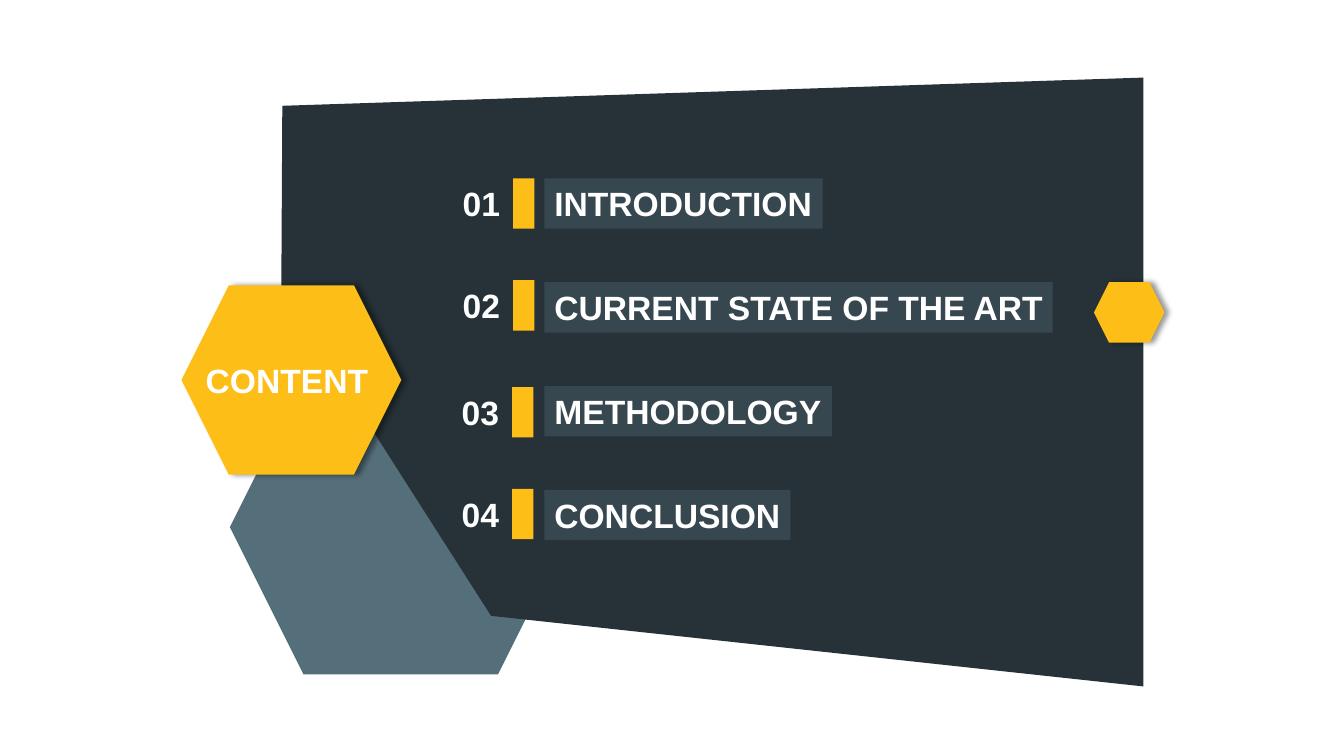
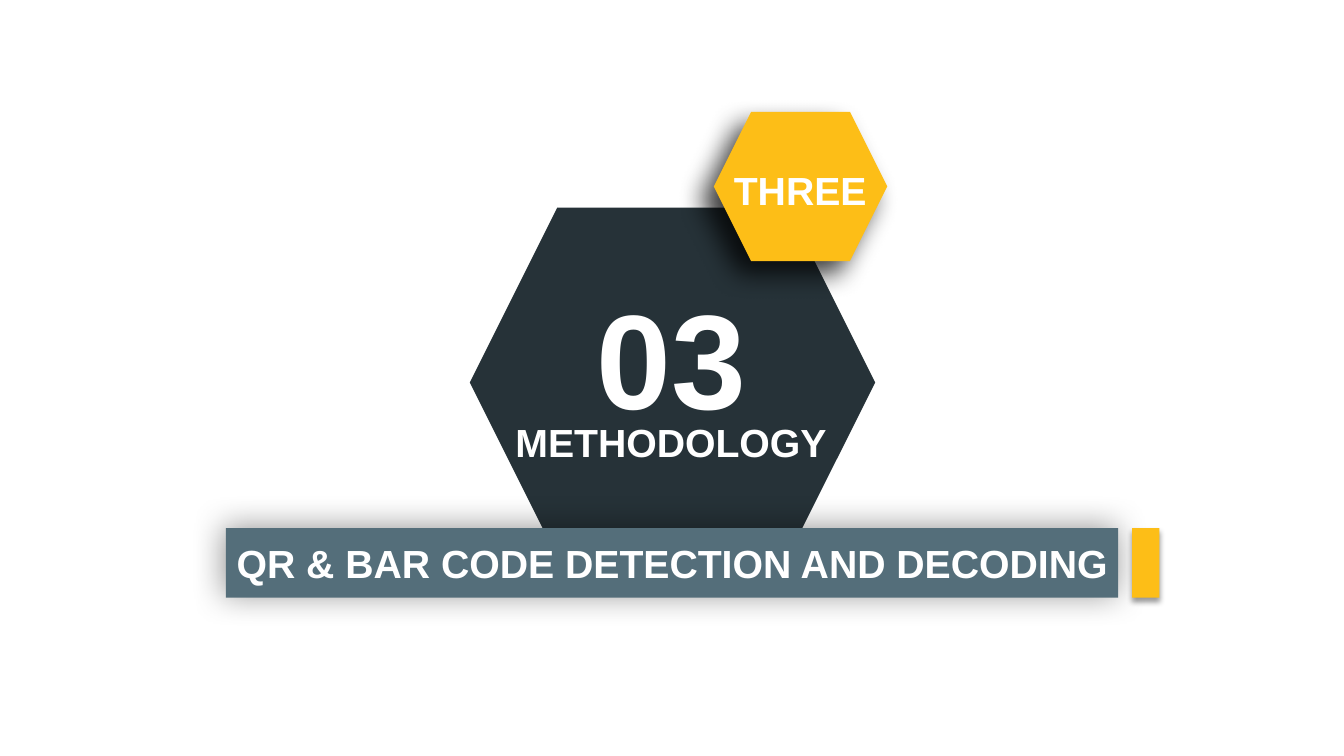
from lxml import etree
from pptx import Presentation
from pptx.dml.color import RGBColor
from pptx.enum.shapes import MSO_SHAPE
from pptx.enum.text import MSO_ANCHOR, MSO_AUTO_SIZE, PP_ALIGN
from pptx.oxml.ns import qn
from pptx.util import Pt

PX = 9144
RECT, HEX = MSO_SHAPE.RECTANGLE, MSO_SHAPE.HEXAGON
LEFT, CENTER = PP_ALIGN.LEFT, PP_ALIGN.CENTER
TOP, NO_FIT = MSO_ANCHOR.TOP, MSO_AUTO_SIZE.NONE
TITLE_ONLY = 5
FONT = "Arial"
COLORS = {
    "dark": "263238",
    "label": "37474F",
    "slate": "546E7A",
    "gold": "FDBE17",
    "white": "FFFFFF",
    "black": "000000",
}
ROW_TOP, ROW_STEP = 177, 103
ROWS = [
    ("01", "INTRODUCTION", 276, 449, 177),
    ("02", "CURRENT STATE OF THE ART", 504, 449, 278),
    ("03", "METHODOLOGY", 285, 448, 384),
    ("04", "CONCLUSION", 244, 448, 485),
]
PANEL = [(280, 105), (1134, 77), (1134, 681), (487, 611), (279, 285)]


def color(name):
    return RGBColor.from_string(COLORS[name])


def scale(box):
    return [n * PX for n in box]


def paint(shape, fill):
    shape.fill.solid()
    shape.fill.fore_color.rgb = color(fill)
    shape.line.fill.background()


def add_shadow(shape, alpha, blur, dist, angle):
    effects = shape._element.spPr.find(qn("a:effectLst"))
    outer = etree.SubElement(
        effects, qn("a:outerShdw"),
        blurRad=str(Pt(blur)), dist=str(Pt(dist)),
        dir=str(angle * 60000), algn="ctr", rotWithShape="0",
    )
    tint = etree.SubElement(outer, qn("a:srgbClr"), val=COLORS["black"])
    etree.SubElement(tint, qn("a:alpha"), val=str(alpha * 1000))


def add_block(slide, kind, box, fill, shadow=None):
    shape = slide.shapes.add_shape(kind, *scale(box))
    shape.shadow.inherit = False
    paint(shape, fill)
    if shadow:
        add_shadow(shape, *shadow)


def add_panel(slide, points, fill):
    build = slide.shapes.build_freeform(*points[0], scale=PX)
    build.add_line_segments(points[1:], close=True)
    panel = build.convert_to_shape()
    panel.shadow.inherit = False
    paint(panel, fill)


def add_text(slide, text, box, size=24, align=LEFT, fill=None, title=False):
    if title:
        shape = slide.shapes.title
        shape.left, shape.top, shape.width, shape.height = scale(box)
        slide.shapes._spTree.append(shape._element)
    else:
        shape = slide.shapes.add_textbox(*scale(box))
    if fill:
        paint(shape, fill)
    frame = shape.text_frame
    frame.text = text
    frame.word_wrap = False
    frame.auto_size = NO_FIT
    frame.vertical_anchor = TOP
    para = frame.paragraphs[0]
    para.alignment = align
    font = para.runs[0].font
    font.name, font.size, font.bold = FONT, Pt(size), True
    font.color.rgb = color("white")


def add_row(slide, index, number, label, width, left, top):
    add_text(slide, label, (540, ROW_TOP + index * ROW_STEP, width, 50), fill="label")
    add_text(slide, number, (left, top, 58, 50))
    add_block(slide, RECT, (left + 60, top, 21, 50), "gold")


def add_content(slide):
    soft = (40, 4, 3, 0)
    add_block(slide, HEX, (228, 377, 339, 292), "slate")
    add_panel(slide, PANEL, "dark")
    for index, row in enumerate(ROWS):
        add_row(slide, index, *row)
    add_block(slide, HEX, (180, 283, 218, 188), "gold", soft)
    add_block(slide, HEX, (1085, 280, 70, 60), "gold", soft)
    add_text(slide, "CONTENT", (194, 352, 183, 51), title=True)


def add_section(slide):
    band = (224, 524, 885, 69)
    add_block(slide, HEX, (466, 206, 402, 347), "dark")
    add_text(slide, "03", (582, 268, 168, 172), size=96)
    add_text(slide, "METHODOLOGY", (501, 410, 329, 57), size=28, align=CENTER, title=True)
    add_block(slide, RECT, band, "slate", (40, 23, 3, 225))
    add_block(slide, HEX, (708, 111, 172, 148), "gold", (76, 19, 13, 135))
    add_text(slide, "QR & BAR CODE DETECTION AND DECODING", (224, 530, 885, 57),
             size=28, align=CENTER)
    add_block(slide, RECT, (1123, 524, 27, 69), "gold", (40, 4, 3, 90))
    add_text(slide, "THREE", (718, 160, 152, 57), size=28)


def main():
    deck = Presentation()
    deck.slide_width, deck.slide_height = 1333 * PX, 750 * PX
    layout = deck.slide_layouts[TITLE_ONLY]
    for fill_slide in (add_content, add_section):
        fill_slide(deck.slides.add_slide(layout))
    deck.save("out.pptx")


if __name__ == "__main__":
    main()
